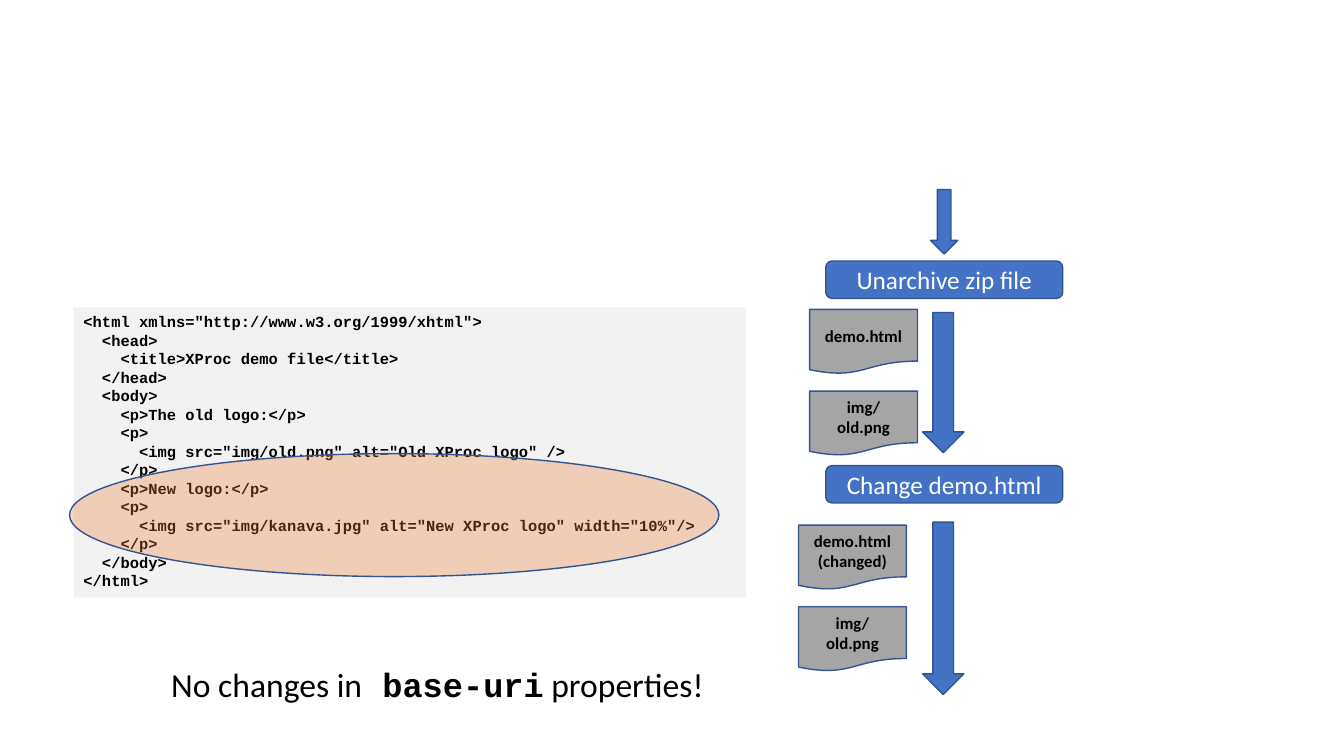
from dataclasses import dataclass

from lxml.etree import SubElement
from pptx import Presentation
from pptx.dml.color import RGBColor
from pptx.enum.shapes import MSO_SHAPE
from pptx.enum.text import MSO_ANCHOR, PP_ALIGN
from pptx.oxml.ns import qn
from pptx.util import Inches, Pt


@dataclass(frozen=True)
class Theme:
    step: RGBColor = RGBColor(0x44, 0x72, 0xC4)
    outline: RGBColor = RGBColor(0x32, 0x54, 0x91)
    document: RGBColor = RGBColor(0xA5, 0xA5, 0xA5)
    code_panel: RGBColor = RGBColor(0xF2, 0xF2, 0xF2)
    highlight: RGBColor = RGBColor(0xED, 0x7D, 0x31)
    dark: RGBColor = RGBColor(0, 0, 0)
    light: RGBColor = RGBColor(0xFF, 0xFF, 0xFF)
    sans: str = "Calibri"
    mono: str = "Courier New"
    message_size: int = 24
    step_size: int = 18
    document_size: int = 12
    code_size: int = 11


THEME = Theme()

CODE = """\
<html xmlns="http://www.w3.org/1999/xhtml">
  <head>
    <title>XProc demo file</title>
  </head>
  <body>
    <p>The old logo:</p>
    <p>
      <img src="img/old.png" alt="Old XProc logo" />
    </p>
    <p>New logo:</p>
    <p>
      <img src="img/kanava.jpg" alt="New XProc logo" width="10%"/>
    </p>
  </body>
</html>"""

prs = Presentation()
prs.slide_width, prs.slide_height = Inches(13.33), Inches(7.5)
slide = prs.slides.add_slide(prs.slide_layouts[6])


def add_filled(kind, left, top, width, height, fill, outlined=True):
    shape = slide.shapes.add_shape(
        kind, Inches(left), Inches(top), Inches(width), Inches(height))
    shape.shadow.inherit = False
    shape.fill.solid()
    shape.fill.fore_color.rgb = fill
    if outlined:
        shape.line.color.rgb = THEME.outline
        shape.line.width = Pt(1)
    else:
        shape.line.fill.background()
    return shape


def add_text(paragraph, text, size, color, font=THEME.sans, bold=False):
    """Add one run per line of text, with line breaks between them."""
    for index, line in enumerate(text.split("\n")):
        if index:
            paragraph.add_line_break()
        run = paragraph.add_run()
        run.text = line
        run.font.size = Pt(size)
        run.font.name = font
        run.font.bold = bold
        run.font.color.rgb = color


# Pipeline steps and the arrows between them
for top, label in [(2.59, "Unarchive zip file"), (4.62, "Change demo.html")]:
    step = add_filled(MSO_SHAPE.ROUNDED_RECTANGLE, 8.19, top, 2.35, 0.37, THEME.step)
    step.text_frame.vertical_anchor = MSO_ANCHOR.MIDDLE
    step_line = step.text_frame.paragraphs[0]
    step_line.alignment = PP_ALIGN.CENTER
    add_text(step_line, label, THEME.step_size, THEME.light)

for left, top, width, height in [
    (9.23, 1.88, 0.27, 0.64),
    (9.15, 3.1, 0.41, 1.39),
    (9.15, 5.18, 0.41, 1.71),
]:
    add_filled(MSO_SHAPE.DOWN_ARROW, left, top, width, height, THEME.step)

# Code listing with its added part highlighted
listing = add_filled(MSO_SHAPE.RECTANGLE, 0.73, 3.05, 6.67, 2.88,
                     THEME.code_panel, outlined=False)
listing.text_frame.word_wrap = True
listing.text_frame.vertical_anchor = MSO_ANCHOR.TOP
for index, code_line in enumerate(CODE.split("\n")):
    paragraph = (listing.text_frame.add_paragraph() if index
                 else listing.text_frame.paragraphs[0])
    paragraph.alignment = PP_ALIGN.LEFT
    add_text(paragraph, code_line, THEME.code_size, THEME.dark, THEME.mono, True)

highlight = add_filled(MSO_SHAPE.OVAL, 0.69, 4.5, 6.44, 1.22, THEME.highlight)
highlight_color = highlight.fill._xPr.find(qn("a:solidFill"))[0]
SubElement(highlight_color, qn("a:alpha")).set("val", "31000")

# Message under the listing
message = slide.shapes.add_textbox(Inches(1.6), Inches(6.54), Inches(6.06), Inches(0.5))
message.text_frame.word_wrap = True
message_line = message.text_frame.paragraphs[0]
for text, font, bold in [
    ("No changes in", THEME.sans, False),
    (" base-uri", THEME.mono, True),
    (" properties!", THEME.sans, False),
]:
    add_text(message_line, text, THEME.message_size, THEME.dark, font, bold)

# Documents that leave each step
DOCUMENT_PITCH = 0.81
for left, first_top, names in [
    (8.03, 3.07, ["demo.html", "img/\nold.png"]),
    (7.92, 5.21, ["demo.html\n(changed)", "img/\nold.png"]),
]:
    for row, name in enumerate(names):
        document = add_filled(MSO_SHAPE.FLOWCHART_DOCUMENT, left,
                              first_top + row * DOCUMENT_PITCH, 1.07, 0.64,
                              THEME.document)
        document.text_frame.word_wrap = True
        document.text_frame.vertical_anchor = MSO_ANCHOR.MIDDLE
        document_line = document.text_frame.paragraphs[0]
        document_line.alignment = PP_ALIGN.CENTER
        add_text(document_line, name, THEME.document_size, THEME.dark, bold=True)

prs.save("out.pptx")
